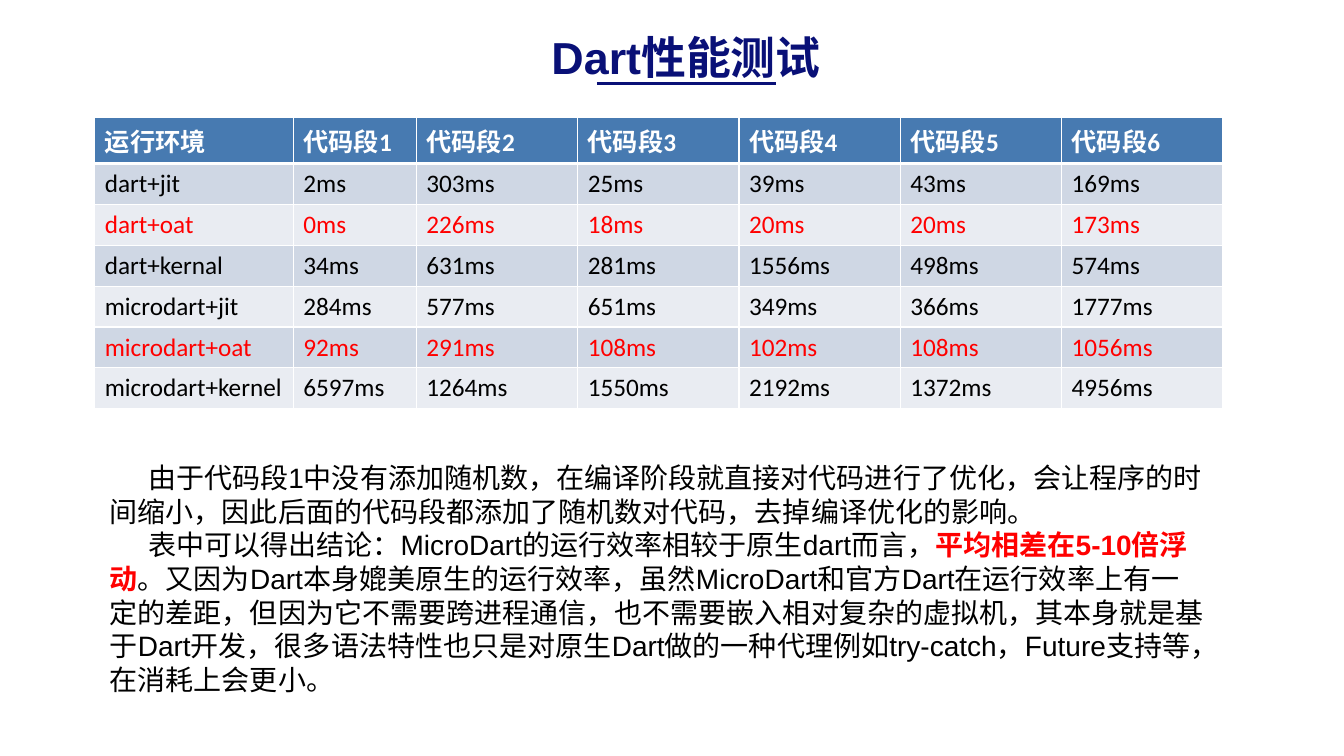
from lxml.etree import SubElement
from pptx import Presentation
from pptx.dml.color import RGBColor
from pptx.enum.shapes import MSO_CONNECTOR
from pptx.enum.text import MSO_ANCHOR, MSO_AUTO_SIZE, PP_ALIGN
from pptx.oxml.ns import qn
from pptx.util import Inches, Pt

NAVY = RGBColor(0x09, 0x10, 0x77)
BLUE = RGBColor(0x47, 0x7A, 0xB1)
BAND_DARK = RGBColor(0xCF, 0xD7, 0xE4)
BAND_LIGHT = RGBColor(0xE9, 0xEC, 0xF2)
RED = RGBColor(0xFF, 0x00, 0x00)
BLACK = RGBColor(0x00, 0x00, 0x00)
WHITE = RGBColor(0xFF, 0xFF, 0xFF)

HEADERS = ["运行环境"] + [f"代码段{number}" for number in range(1, 7)]
TIMINGS = {
    "dart+jit": (2, 303, 25, 39, 43, 169),
    "dart+oat": (0, 226, 18, 20, 20, 173),
    "dart+kernal": (34, 631, 281, 1556, 498, 574),
    "microdart+jit": (284, 577, 651, 349, 366, 1777),
    "microdart+oat": (92, 291, 108, 102, 108, 1056),
    "microdart+kernel": (6597, 1264, 1550, 2192, 1372, 4956),
}
COLUMN_WIDTHS = [1.97, 1.22] + [1.6] * 5
TABLE_HEIGHT = 2.84

CONCLUSIONS = [
    [("由于代码段1中没有添加随机数，在编译阶段就直接对代码进行了优化，会让程序的时间缩小，"
      "因此后面的代码段都添加了随机数对代码，去掉编译优化的影响。", False)],
    [("表中可以得出结论：MicroDart的运行效率相较于原生dart而言，", False),
     ("平均相差在5-10倍浮动", True),
     ("。又因为Dart本身媲美原生的运行效率，虽然MicroDart和官方Dart在运行效率上有一定的差距，"
      "但因为它不需要跨进程通信，也不需要嵌入相对复杂的虚拟机，其本身就是基于Dart开发，"
      "很多语法特性也只是对原生Dart做的一种代理例如try-catch，Future支持等，"
      "在消耗上会更小。", False)],
]


def add_run(paragraph, text, size=20, font="Arial", color=BLACK, bold=False):
    run = paragraph.add_run()
    run.text = text
    run.font.size = Pt(size)
    run.font.name = font
    run.font.color.rgb = color
    run.font.bold = bold


def set_title(slide, text):
    title = slide.shapes.title
    title.left, title.top = Inches(4.43), Inches(0.24)
    title.width, title.height = Inches(4.75), Inches(1.04)
    frame = title.text_frame
    frame.auto_size = MSO_AUTO_SIZE.NONE
    frame.vertical_anchor = MSO_ANCHOR.TOP
    paragraph = frame.paragraphs[0]
    paragraph.alignment = PP_ALIGN.CENTER
    add_run(paragraph, text, size=32, color=NAVY, bold=True)


def add_underline(slide):
    line = slide.shapes.add_connector(
        MSO_CONNECTOR.STRAIGHT, Inches(5.92), Inches(0.83), Inches(7.7), Inches(0.83))
    line.line.color.rgb = NAVY
    line.line.width = Pt(2.5)
    SubElement(line._element.spPr, qn("a:effectLst"))


def set_borders(cell, top, bottom):
    """Draw white cell borders; top and bottom are widths in points."""
    properties = cell._tc.get_or_add_tcPr()
    for side, width in (("L", 1), ("R", 1), ("T", top), ("B", bottom)):
        border = SubElement(properties, qn(f"a:ln{side}"), w=str(Pt(width)))
        fill = SubElement(border, qn("a:solidFill"))
        SubElement(fill, qn("a:srgbClr"), val=str(WHITE))


def fill_row(table, row, texts, fill, color, bold=False):
    for column, text in enumerate(texts):
        cell = table.cell(row, column)
        set_borders(cell, top=3 if row == 1 else 1, bottom=3 if row == 0 else 1)
        cell.fill.solid()
        cell.fill.fore_color.rgb = fill
        add_run(cell.text_frame.paragraphs[0], text, size=18, font="Calibri",
                color=color, bold=bold)


def add_timing_table(slide):
    row_count = len(TIMINGS) + 1
    table = slide.shapes.add_table(
        row_count, len(HEADERS), Inches(0.94), Inches(1.16),
        Inches(sum(COLUMN_WIDTHS)), Inches(TABLE_HEIGHT)).table
    for column, width in zip(table.columns, COLUMN_WIDTHS):
        column.width = Inches(width)
    for row in table.rows:
        row.height = Inches(TABLE_HEIGHT / row_count)

    fill_row(table, 0, HEADERS, BLUE, WHITE, bold=True)
    for row, (environment, timings) in enumerate(TIMINGS.items(), start=1):
        texts = [environment] + [f"{timing}ms" for timing in timings]
        fill = BAND_DARK if row % 2 else BAND_LIGHT
        color = RED if environment.endswith("+oat") else BLACK
        fill_row(table, row, texts, fill, color)


def add_conclusions(slide):
    box = slide.shapes.add_textbox(Inches(0.99), Inches(4.52), Inches(11.06), Inches(2.46))
    frame = box.text_frame
    frame.word_wrap = True
    for index, parts in enumerate(CONCLUSIONS):
        paragraph = frame.add_paragraph() if index else frame.paragraphs[0]
        paragraph._p.get_or_add_pPr().set("indent", str(Inches(0.38)))
        for text, highlighted in parts:
            add_run(paragraph, text, color=RED if highlighted else BLACK, bold=highlighted)


def main():
    presentation = Presentation()
    presentation.slide_width = Inches(13.33)
    presentation.slide_height = Inches(7.5)
    slide = presentation.slides.add_slide(presentation.slide_layouts[5])
    set_title(slide, "Dart性能测试")
    add_underline(slide)
    add_timing_table(slide)
    add_conclusions(slide)
    presentation.save("out.pptx")


if __name__ == "__main__":
    main()
